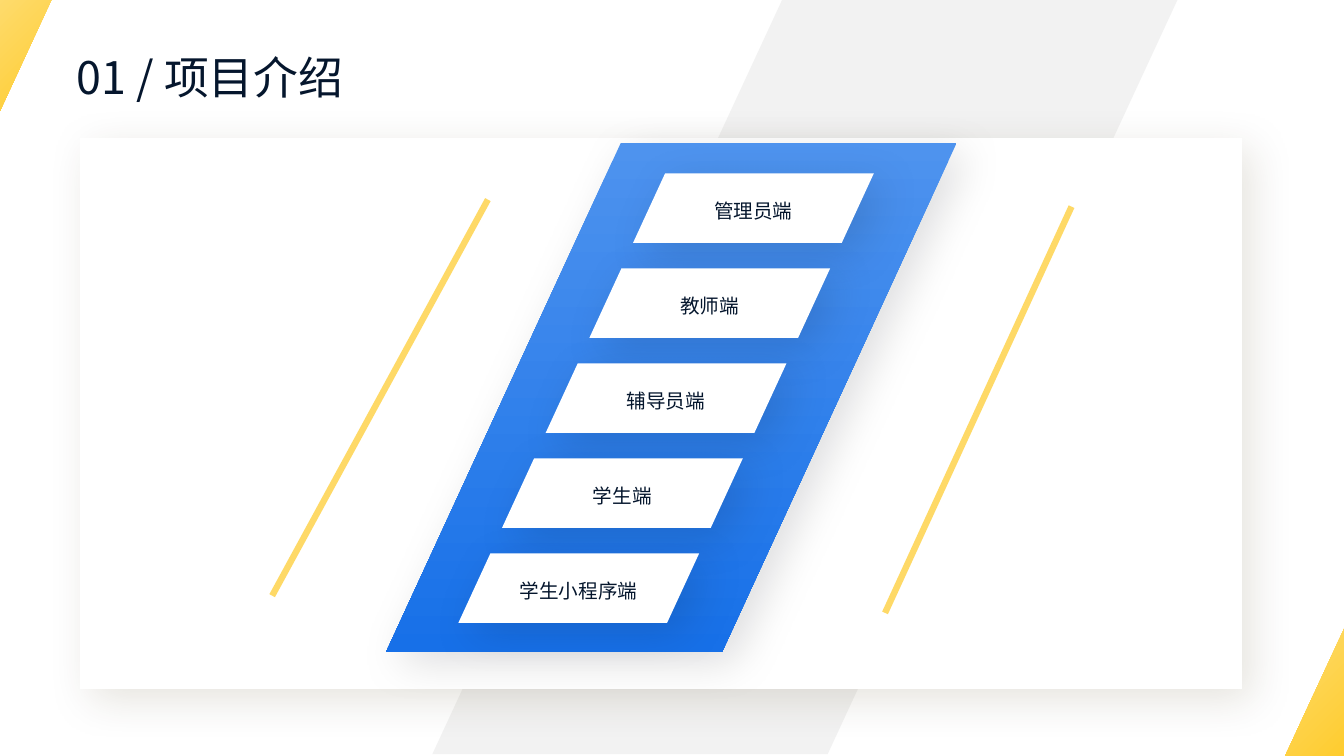
"""Build the project introduction slide with its slanted stack of five client roles."""
from lxml.etree import SubElement
from pptx import Presentation
from pptx.dml.color import RGBColor
from pptx.enum.shapes import MSO_CONNECTOR, MSO_SHAPE
from pptx.enum.text import MSO_ANCHOR as Anchor, MSO_AUTO_SIZE as AutoSize, PP_ALIGN as Align
from pptx.oxml.ns import qn
from pptx.util import Pt

TITLE = "01 / 项目介绍"
ROLES = ["管理员端", "教师端", "辅导员端", "学生端", "学生小程序端"]
COLORS = {
    "ink": "05162D", "white": "FFFFFF", "band": "F2F2F2", "gold": "FECC2F",
    "pale_gold": "FEDB6C", "light_blue": "4E93EE", "blue": "1770E8",
    "card_shadow": "413201", "shadow": "040B12",
}
TITLE_FONT, ROLE_FONT = "Noto Sans CJK SC", "Noto Sans CJK JP"

SLIDE_W, SLIDE_H = 960, 540
TITLE_BOX = (47.5, 36, 214.6, 46.1)
BAND_BOX = (308.9, -1.4, 532.8, 540)
CARD_BOX = (56.9, 98.6, 830.2, 393.8)
PANEL_BOX = (275.8, 102.2, 407.5, 363.6)
CORNERS = [
    [(0, 0), (36.7, 0), (0, 79.2)],
    [(SLIDE_W, 449.3), (SLIDE_W, SLIDE_H), (918, SLIDE_H)],
]
ACCENTS = [(348.5, 142.6, 194.4, 425.5), (765.4, 147.6, 632.2, 437.8)]
ROLE_LEFT, ROLE_TOP, ROLE_W, ROLE_H = 452.2, 123.8, 172, 49.7
ROLE_SHIFT, ROLE_PITCH = -31.2, 67.87
SLANT = 0.461


def rgb(name):
    return RGBColor.from_string(COLORS[name])


def paint(shape, fill, angle=0):
    """Fill with one colour name, or with a gradient for a pair of names."""
    if isinstance(fill, tuple):
        shape.fill.gradient()
        shape.fill.gradient_angle = angle
        for stop, name in zip(shape.fill.gradient_stops, fill):
            stop.color.rgb = rgb(name)
    else:
        shape.fill.solid()
        shape.fill.fore_color.rgb = rgb(fill)
    shape.line.fill.background()
    shape.shadow.inherit = False


def cast_shadow(shape, name):
    effects = shape._element.spPr.find(qn("a:effectLst"))
    outer = SubElement(effects, qn("a:outerShdw"), blurRad=str(Pt(31)), dist=str(Pt(11)),
                       dir="2700000", algn="tl", rotWithShape="0")
    color = SubElement(outer, qn("a:srgbClr"), val=COLORS[name])
    SubElement(color, qn("a:alpha"), val="12000")


def add_slanted(slide, box, slant, fill, shadow=None, angle=0):
    slanted = slide.shapes.add_shape(MSO_SHAPE.PARALLELOGRAM, *map(Pt, box))
    slanted.adjustments[0] = slant
    paint(slanted, fill, angle)
    if shadow:
        cast_shadow(slanted, shadow)
    return slanted


def add_corner(slide, points):
    start, *rest = [(Pt(x), Pt(y)) for x, y in points]
    builder = slide.shapes.build_freeform(*start)
    builder.add_line_segments(rest, close=True)
    paint(builder.convert_to_shape(), ("pale_gold", "gold"), 315)


def add_accent(slide, ends):
    accent = slide.shapes.add_connector(MSO_CONNECTOR.STRAIGHT, *map(Pt, ends))
    accent.line.width = Pt(4.5)
    accent.line.color.rgb = rgb("gold")
    properties = accent._element.spPr
    SubElement(next(properties.iter(qn("a:srgbClr"))), qn("a:alpha"), val="72000")
    SubElement(properties, qn("a:effectLst"))


def write(frame, text, font, size, align, spacing):
    frame.text = text
    paragraph = frame.paragraphs[0]
    paragraph.alignment = align
    paragraph.line_spacing = spacing
    paragraph.font.size = Pt(size)
    paragraph.font.color.rgb = rgb("ink")
    paragraph.font.name = font
    SubElement(paragraph.font._element, qn("a:ea"), typeface=font)


def add_title(slide):
    title = slide.shapes.title
    title.left, title.top, title.width, title.height = map(Pt, TITLE_BOX)
    frame = title.text_frame
    frame.word_wrap = False
    frame.auto_size = AutoSize.SHAPE_TO_FIT_TEXT
    frame.vertical_anchor = Anchor.TOP
    write(frame, TITLE, TITLE_FONT, 32, Align.LEFT, 0.9)


def main():
    deck = Presentation()
    deck.slide_width, deck.slide_height = Pt(SLIDE_W), Pt(SLIDE_H)
    slide = deck.slides.add_slide(deck.slide_layouts[5])

    add_title(slide)
    add_slanted(slide, BAND_BOX, 0.47, "band")
    add_slanted(slide, CARD_BOX, 0, "white", "card_shadow")
    for points in CORNERS:
        add_corner(slide, points)
    for ends in ACCENTS:
        add_accent(slide, ends)
    add_slanted(slide, PANEL_BOX, SLANT, ("light_blue", "blue"), "shadow", 270)
    for row, role in enumerate(ROLES):
        box = (ROLE_LEFT + row * ROLE_SHIFT, ROLE_TOP + row * ROLE_PITCH, ROLE_W, ROLE_H)
        plate = add_slanted(slide, box, SLANT, "white", "shadow")
        plate.text_frame.vertical_anchor = Anchor.MIDDLE
        write(plate.text_frame, role, ROLE_FONT, 14, Align.CENTER, 1.2)

    deck.save("out.pptx")


if __name__ == "__main__":
    main()
